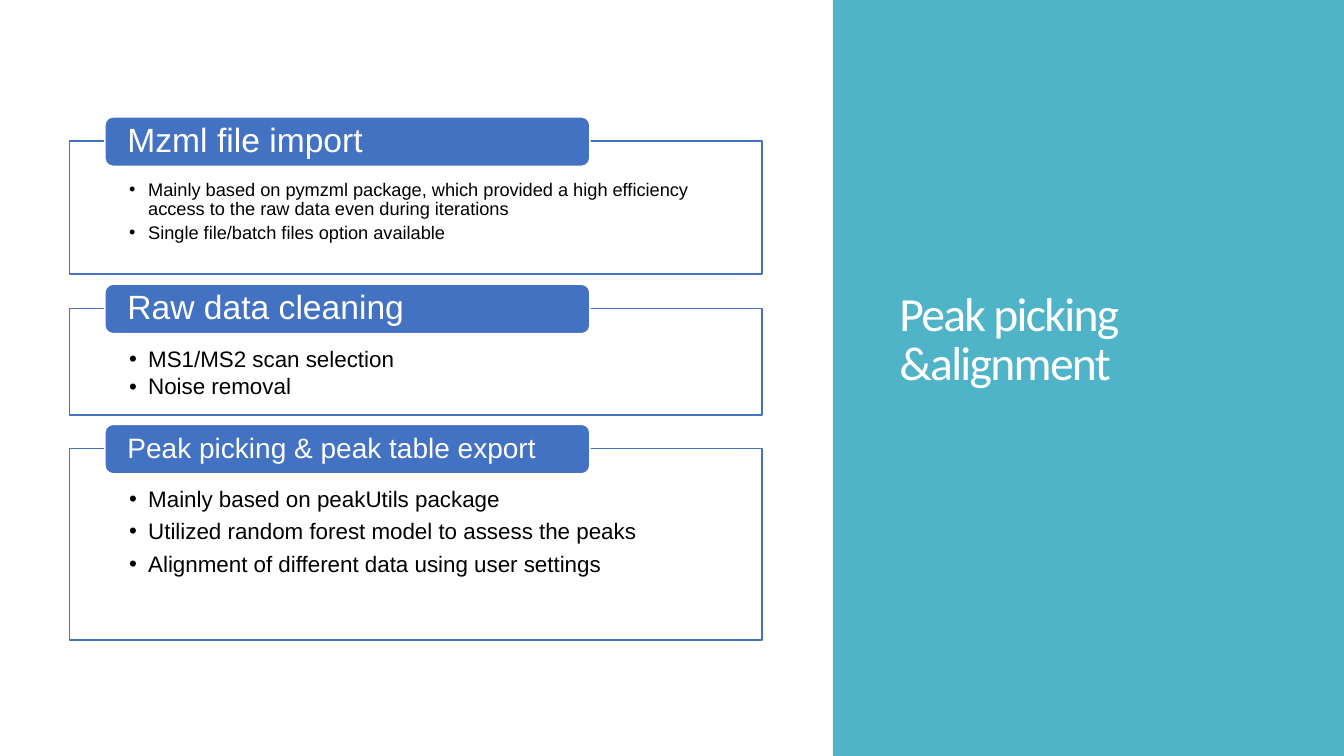
from lxml import etree
from pptx import Presentation
from pptx.dml.color import RGBColor
from pptx.enum.shapes import MSO_SHAPE
from pptx.enum.text import MSO_ANCHOR, MSO_AUTO_SIZE, PP_ALIGN
from pptx.oxml.ns import qn
from pptx.util import Inches, Pt

RECTANGLE, ROUNDED = MSO_SHAPE.RECTANGLE, MSO_SHAPE.ROUNDED_RECTANGLE
TOP, MIDDLE, BOTTOM = MSO_ANCHOR.TOP, MSO_ANCHOR.MIDDLE, MSO_ANCHOR.BOTTOM
NO_AUTOFIT, LEFT = MSO_AUTO_SIZE.NONE, PP_ALIGN.LEFT
TITLE_ONLY = 5

COLORS = {"panel": "50B4C8", "blue": "4372C3", "white": "FFFFFF", "black": "000000"}

# Heading, heading size, box top, box height, bullet size, space before, space after, bullets
STEPS = [
    ("Mzml file import", 24, 1.4, 1.32, 13, 2.7, 0, [
        "Mainly based on pymzml package, which provided a high efficiency "
        "access to the raw data even during iterations",
        "Single file/batch files option available"]),
    ("Raw data cleaning", 24, 3.06, 1.06, 16, 2.7, 0, [
        "MS1/MS2 scan selection",
        "Noise removal"]),
    ("Peak picking & peak table export", 20, 4.45, 1.9, 16, 0, 6, [
        "Mainly based on peakUtils package",
        "Utilized random forest model to assess the peaks",
        "Alignment of different data using user settings"]),
]
HEADING_RISE = 0.24


def color(name):
    return RGBColor.from_string(COLORS[name])


def write(paragraph, text, *, size, ink, font="Arial", line=0.9, before=0, after=0,
          bullet=False, tracking=None):
    """Fill a paragraph with one formatted run."""
    paragraph.alignment = LEFT
    paragraph.line_spacing = line
    paragraph.space_before, paragraph.space_after = Pt(before), Pt(after)
    run = paragraph.add_run()
    run.text = text
    run.font.name, run.font.size = font, Pt(size)
    run.font.color.rgb = color(ink)
    if tracking is not None:
        run.font._element.set("spc", str(round(tracking * 100)))
    if bullet:
        properties = paragraph._p.get_or_add_pPr()
        properties.set("marL", str(Inches(0.19)))
        properties.set("indent", str(-Inches(0.19)))
        etree.SubElement(properties, qn("a:buFont")).set("typeface", "Arial")
        etree.SubElement(properties, qn("a:buChar")).set("char", "•")


class SlideBuilder:
    def __init__(self, slide):
        self.slide = slide

    def frame(self, shape, anchor, insets):
        """Prepare the text frame; insets are left, top, right, bottom."""
        frame = shape.text_frame
        frame.word_wrap, frame.auto_size = True, NO_AUTOFIT
        frame.vertical_anchor = anchor
        (frame.margin_left, frame.margin_top,
         frame.margin_right, frame.margin_bottom) = map(Inches, insets)
        return frame

    def box(self, kind, bounds, fill, line=None):
        shape = self.slide.shapes.add_shape(kind, *map(Inches, bounds))
        shape.shadow.inherit = False
        shape.fill.solid()
        shape.fill.fore_color.rgb = color(fill)
        if line:
            shape.line.color.rgb = color(line)
            shape.line.width = Pt(1)
        else:
            shape.line.fill.background()
        return shape

    def panel(self, bounds):
        """Draw the side panel behind the title."""
        shape = self.box(RECTANGLE, bounds, "panel")
        self.slide.shapes._spTree.insert(2, shape._element)

    def title(self, text, bounds):
        title = self.slide.shapes.title
        title.left, title.top, title.width, title.height = map(Inches, bounds)
        frame = self.frame(title, BOTTOM, (0.1, 0.05, 0.1, 1.07))
        write(frame.paragraphs[0], text, size=34, ink="white", font="Calibri",
              line=0.85, tracking=-1.2)

    def bullet_box(self, bounds, bullets, size, before, after):
        shape = self.box(RECTANGLE, bounds, "white", "blue")
        frame = self.frame(shape, TOP, (0.59, 0.39, 0.59, 0.13))
        for index, text in enumerate(bullets):
            paragraph = frame.add_paragraph() if index else frame.paragraphs[0]
            write(paragraph, text, size=size, ink="black", bullet=True,
                  before=before if index else 0, after=after)

    def heading(self, text, bounds, size):
        shape = self.box(ROUNDED, bounds, "blue", "white")
        shape.adjustments[0] = 0.167
        frame = self.frame(shape, MIDDLE, (0.2, 0, 0.2, 0))
        write(frame.paragraphs[0], text, size=size, ink="white")


def main():
    presentation = Presentation()
    presentation.slide_width, presentation.slide_height = Inches(13.33), Inches(7.5)
    slide = presentation.slides.add_slide(presentation.slide_layouts[TITLE_ONLY])
    builder = SlideBuilder(slide)

    # Side panel with title
    builder.panel((8.26, 0, 5.07, 7.5))
    builder.title("Peak picking &alignment", (8.82, 2.84, 3.72, 2.1))

    # Workflow steps
    for heading, heading_size, top, height, size, before, after, bullets in STEPS:
        builder.bullet_box((0.69, top, 6.87, height), bullets, size, before, after)
        builder.heading(heading, (1.04, top - HEADING_RISE, 4.81, 0.49), heading_size)

    presentation.save("out.pptx")


if __name__ == "__main__":
    main()
